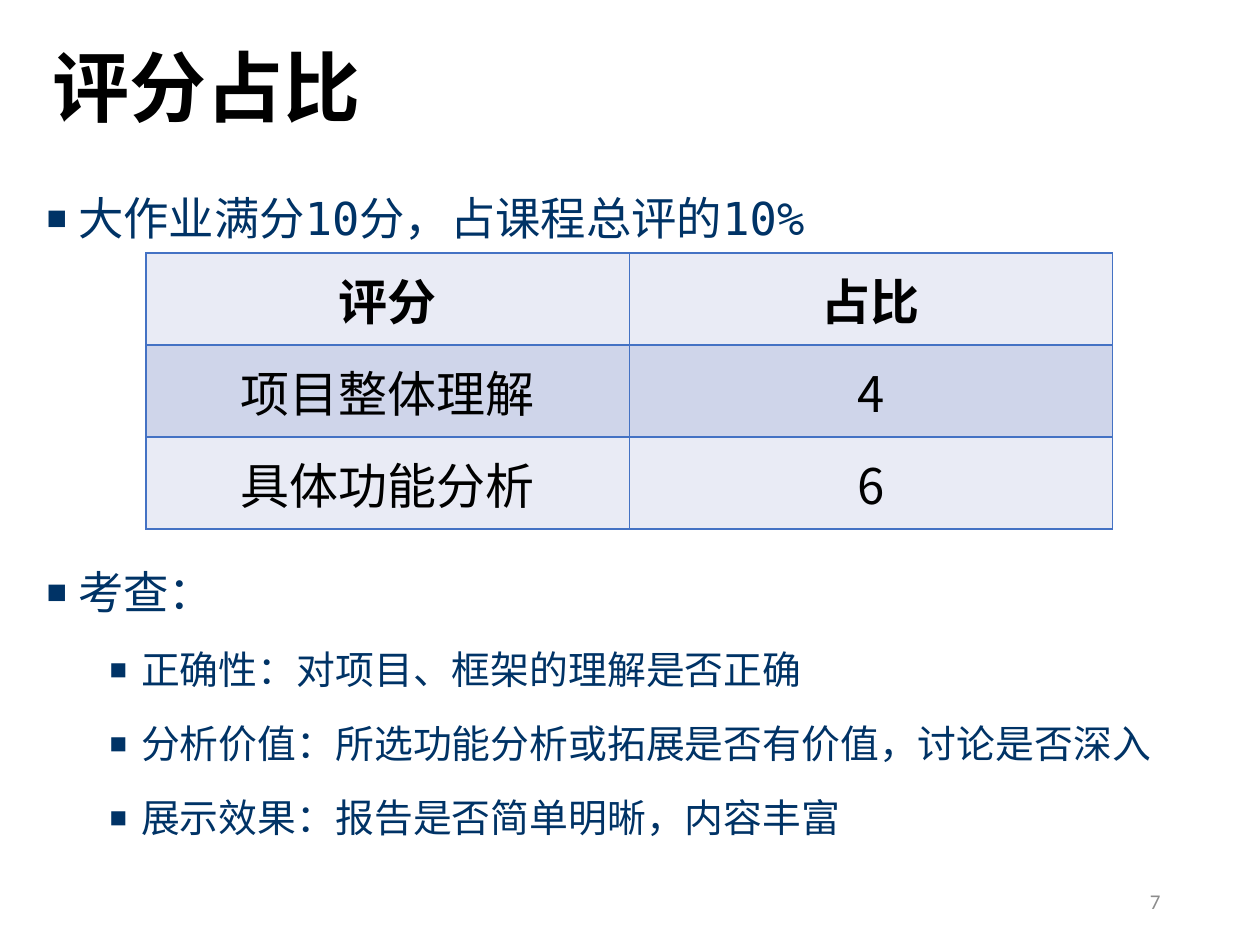
from lxml import etree
from pptx import Presentation
from pptx import util as u
from pptx.dml.color import RGBColor
from pptx.enum import text
from pptx.oxml import ns

THEME = {
    "ink": "000000", "navy": "003366", "grey": "8C8C8C", "border": "4472C4",
    "bands": ("E9EBF5", "CFD5EA"),
    "heading": "Noto Sans CJK SC", "body": "DejaVu Sans Mono", "number": "Calibri",
    "title_size": 44, "table_size": 28, "number_size": 12,
    "list_sizes": (25.9, 22.2),
}


def add_xml(parent, tag, **attributes):
    return etree.SubElement(parent, ns.qn(tag), attributes)


def write(paragraph, content, font, size, color, bold=False, **paragraph_format):
    """Fill a paragraph with one run, using one font for all its scripts."""
    for name, value in paragraph_format.items():
        setattr(paragraph, name, value)
    run = paragraph.add_run()
    run.text = content
    for name, value in {"name": font, "size": u.Pt(size), "bold": bold}.items():
        setattr(run.font, name, value)
    run.font.color.rgb = RGBColor.from_string(THEME[color])
    add_xml(run._r.get_or_add_rPr(), "a:ea", typeface=font)


presentation = Presentation()
presentation.slide_width, presentation.slide_height = u.Inches(10), u.Inches(7.5)
WIDTH, HEIGHT = presentation.slide_width, presentation.slide_height
slide = presentation.slides.add_slide(presentation.slide_layouts[1])
title, body = slide.placeholders
number = slide.shapes.add_textbox(0, 0, 0, 0)

# Left, top, width and height as shares of the slide
places = [
    (title, 0.032, 0, 0.862, 0.193),
    (body, 0.027, 0.172, 0.94, 0.768),
    (number, 0.706, 0.927, 0.225, 0.053),
]
for shape, left, top, width, height in places:
    frame = {"left": left * WIDTH, "top": top * HEIGHT,
             "width": width * WIDTH, "height": height * HEIGHT}
    for name, value in frame.items():
        setattr(shape, name, int(value))
    shape.text_frame.word_wrap = True
    shape.text_frame.auto_size = text.MSO_AUTO_SIZE.NONE
    shape.text_frame.vertical_anchor = text.MSO_ANCHOR.MIDDLE
body.text_frame.vertical_anchor = text.MSO_ANCHOR.TOP

write(title.text_frame.paragraphs[0], "评分占比", THEME["heading"],
      THEME["title_size"], "ink", bold=True,
      alignment=text.PP_ALIGN.LEFT, line_spacing=0.9)
write(number.text_frame.paragraphs[0], "7", THEME["number"],
      THEME["number_size"], "grey", alignment=text.PP_ALIGN.RIGHT)

# Level, space before and wording; the wide space leaves room for the table
items = [
    (0, 10, "大作业满分10分，占课程总评的10%"),
    (0, 170, "考查："),
    (1, 5, "正确性：对项目、框架的理解是否正确"),
    (1, 5, "分析价值：所选功能分析或拓展是否有价值，讨论是否深入"),
    (1, 5, "展示效果：报告是否简单明晰，内容丰富"),
]
for index, (level, space, content) in enumerate(items):
    paragraphs = body.text_frame
    paragraph = paragraphs.add_paragraph() if index else paragraphs.paragraphs[0]
    write(paragraph, content, THEME["body"], THEME["list_sizes"][level], "navy",
          level=level, line_spacing=1.4, space_before=u.Pt(space))
    properties = paragraph._p.get_or_add_pPr()
    properties.set("marL", str(u.Inches(0.25 + 0.5 * level)))
    properties.set("indent", str(u.Inches(-0.25)))
    add_xml(properties, "a:buSzPct", val="75000")
    add_xml(properties, "a:buChar", char="■")

rows = [("评分", "占比"), ("项目整体理解", "4"), ("具体功能分析", "6")]
table = slide.shapes.add_table(
    len(rows), 2, int(0.116 * WIDTH), int(0.268 * HEIGHT),
    int(0.767 * WIDTH), int(0.292 * HEIGHT)).table
for row, contents in enumerate(rows):
    for column, content in enumerate(contents):
        cell = table.cell(row, column)
        cell.vertical_anchor = text.MSO_ANCHOR.MIDDLE
        for side in "LRTB":
            line = add_xml(cell._tc.get_or_add_tcPr(), f"a:ln{side}", w=str(u.Pt(1)))
            add_xml(add_xml(line, "a:solidFill"), "a:srgbClr", val=THEME["border"])
        cell.fill.solid()
        cell.fill.fore_color.rgb = RGBColor.from_string(THEME["bands"][row % 2])
        write(cell.text_frame.paragraphs[0], content, THEME["heading"],
              THEME["table_size"], "ink", bold=row == 0,
              alignment=text.PP_ALIGN.CENTER)

presentation.save("out.pptx")
